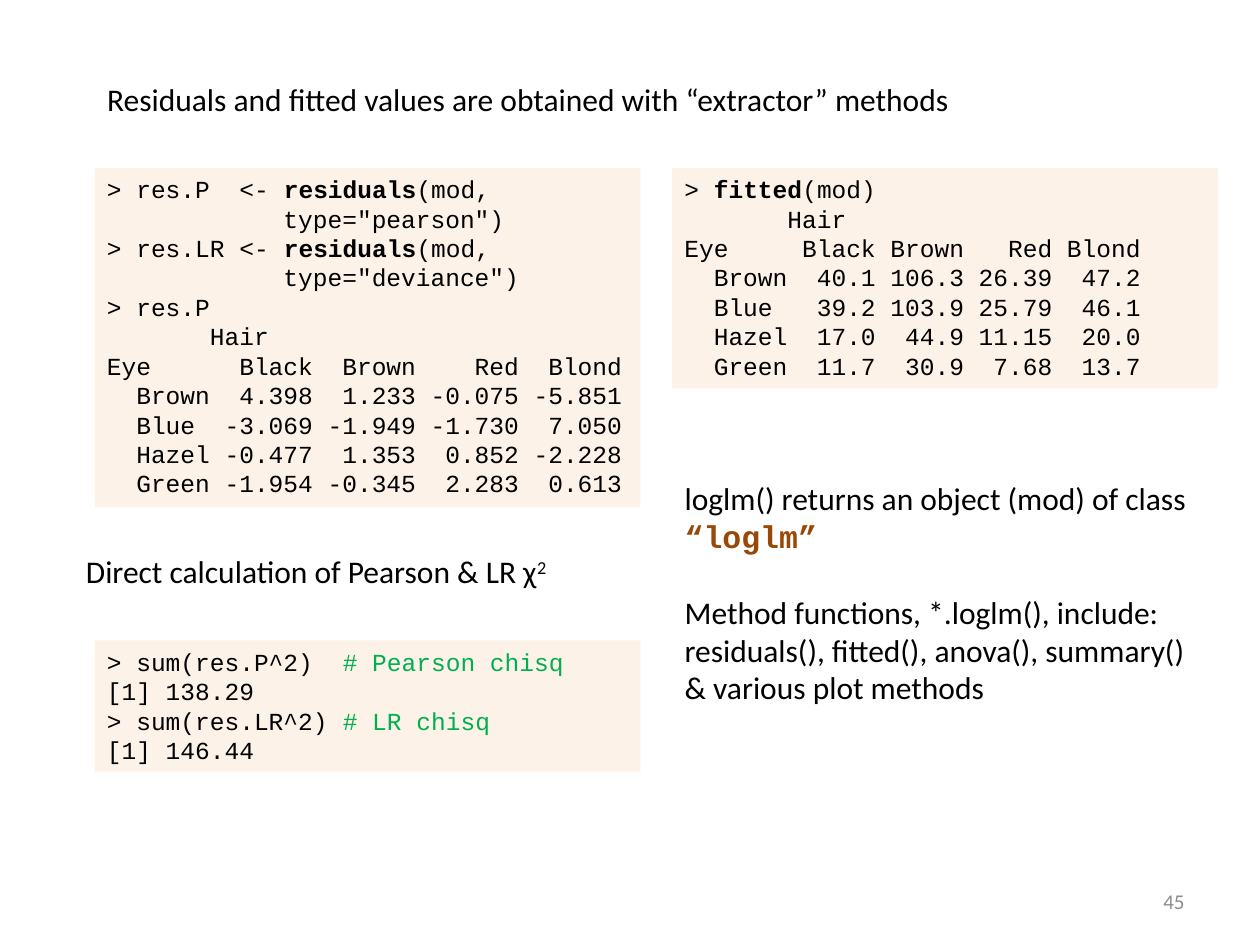
from dataclasses import dataclass, field

from lxml import etree
from pptx import Presentation
from pptx import util as u
from pptx.dml.color import RGBColor
from pptx.enum import shapes, text
from pptx.oxml import ns

SCALE = 7620  # EMU in one px, 120 px to the inch
COLORS = {"ink": "000000", "panel": "FDEADA", "comment": "00B050",
          "klass": "984807", "number": "8C8C8C"}
PANEL_ALPHA = 60
SANS, MONO = "Calibri", "Courier New"


@dataclass
class Span:
    text: str
    color: str = "ink"
    bold: bool = False
    font: str = ""
    baseline: int = 0


@dataclass
class Block:
    left: int
    top: int
    width: int
    height: int
    lines: list = field(default_factory=list)  # each line: a string or a list of strings and Spans
    font: str = SANS
    size: int = 18
    gap: int = 0  # points between paragraphs


def px(n: int) -> u.Emu:
    return u.Emu(n * SCALE)


def rgb(name: str) -> RGBColor:
    return RGBColor.from_string(COLORS[name])


def place(sp, b: Block) -> None:
    for name in ("left", "top", "width", "height"):
        setattr(sp, name, px(getattr(b, name)))


def write(sp, b: Block, align=text.PP_ALIGN.LEFT, anchor=text.MSO_ANCHOR.TOP) -> None:
    tf = sp.text_frame
    frame = {"word_wrap": True, "auto_size": text.MSO_AUTO_SIZE.NONE,
             "vertical_anchor": anchor}
    for name, value in frame.items():
        setattr(tf, name, value)
    for i, line in enumerate(b.lines):
        p = tf.paragraphs[0] if i == 0 else tf.add_paragraph()
        p.alignment = align
        p.space_before = u.Pt(b.gap if i else 0)
        for part in [line] if isinstance(line, str) else line:
            span = part if isinstance(part, Span) else Span(part)
            r = p.add_run()
            r.text = span.text
            fmt = {"name": span.font or b.font, "size": u.Pt(b.size), "bold": span.bold}
            for name, value in fmt.items():
                setattr(r.font, name, value)
            r.font.color.rgb = rgb(span.color)
            if span.baseline:
                r.font._element.set("baseline", str(span.baseline * 1000))


def add_label(s, b: Block, **kw) -> None:
    sp = s.shapes.add_textbox(px(b.left), px(b.top), px(b.width), px(b.height))
    write(sp, b, **kw)


def add_code(s, b: Block) -> None:
    sp = s.shapes.add_shape(shapes.MSO_SHAPE.RECTANGLE, px(b.left), px(b.top),
                            px(b.width), px(b.height))
    sp.shadow.inherit = False
    sp.line.fill.background()
    sp.fill.solid()
    sp.fill.fore_color.rgb = rgb("panel")
    color = sp.fill._xPr.find(".//" + ns.qn("a:srgbClr"))
    etree.SubElement(color, ns.qn("a:alpha")).set("val", str(PANEL_ALPHA * 1000))
    write(sp, b)


def remove_bullets(sp) -> None:
    for p in sp.text_frame.paragraphs:
        pPr = p._p.get_or_add_pPr()
        pPr.set("marL", "0")
        pPr.set("indent", "0")
        etree.SubElement(pPr, ns.qn("a:buNone"))


def bold(word: str) -> Span:
    return Span(word, bold=True)


TITLE = Block(90, 70, 950, 48,
              ["Residuals and fitted values are obtained with “extractor” methods"])
NOTES = Block(640, 450, 520, 230, [
    ["loglm() returns an object (mod) of class ",
     Span("“loglm”", "klass", True, MONO)],
    "Method functions, *.loglm(), include: residuals(), fitted(), anova(), "
    "summary() & various plot methods",
], gap=22)
CHI_LABEL = Block(70, 520, 560, 48,
                  ["Direct calculation of Pearson & LR χ", ], SANS)
CHI_LABEL.lines = [[CHI_LABEL.lines[0], Span("2", baseline=30)]]
NUMBER = Block(860, 834, 280, 48, [[Span("45", "number")]], size=12)

CODE = [
    Block(90, 160, 520, 323, [
        ["> res.P  <- ", bold("residuals"), "(mod,"],
        '            type="pearson")',
        ["> res.LR <- ", bold("residuals"), "(mod,"],
        '            type="deviance")',
        "> res.P",
        "       Hair",
        "Eye      Black  Brown    Red  Blond",
        "  Brown  4.398  1.233 -0.075 -5.851",
        "  Blue  -3.069 -1.949 -1.730  7.050",
        "  Hazel -0.477  1.353  0.852 -2.228",
        "  Green -1.954 -0.345  2.283  0.613",
    ], MONO, 14),
    Block(640, 160, 520, 210, [
        ["> ", bold("fitted"), "(mod)"],
        "       Hair",
        "Eye     Black Brown   Red Blond",
        "  Brown  40.1 106.3 26.39  47.2",
        "  Blue   39.2 103.9 25.79  46.1",
        "  Hazel  17.0  44.9 11.15  20.0",
        "  Green  11.7  30.9  7.68  13.7",
    ], MONO, 14),
    Block(90, 610, 520, 125, [
        ["> sum(res.P^2)  ", Span("# Pearson chisq", "comment")],
        "[1] 138.29",
        ["> sum(res.LR^2) ", Span("# LR chisq", "comment")],
        "[1] 146.44",
    ], MONO, 14),
]


def main() -> None:
    prs = Presentation()
    prs.slide_width, prs.slide_height = px(1200), px(900)
    s = prs.slides.add_slide(prs.slide_layouts[1])

    # Title and notes in the template's placeholders
    for sp, block in zip(s.placeholders, (TITLE, NOTES)):
        place(sp, block)
        write(sp, block)
    remove_bullets(s.placeholders[1])

    # Code panels
    for block in CODE:
        add_code(s, block)

    # Label and page number
    add_label(s, CHI_LABEL)
    add_label(s, NUMBER, align=text.PP_ALIGN.RIGHT, anchor=text.MSO_ANCHOR.MIDDLE)

    prs.save("out.pptx")


if __name__ == "__main__":
    main()
